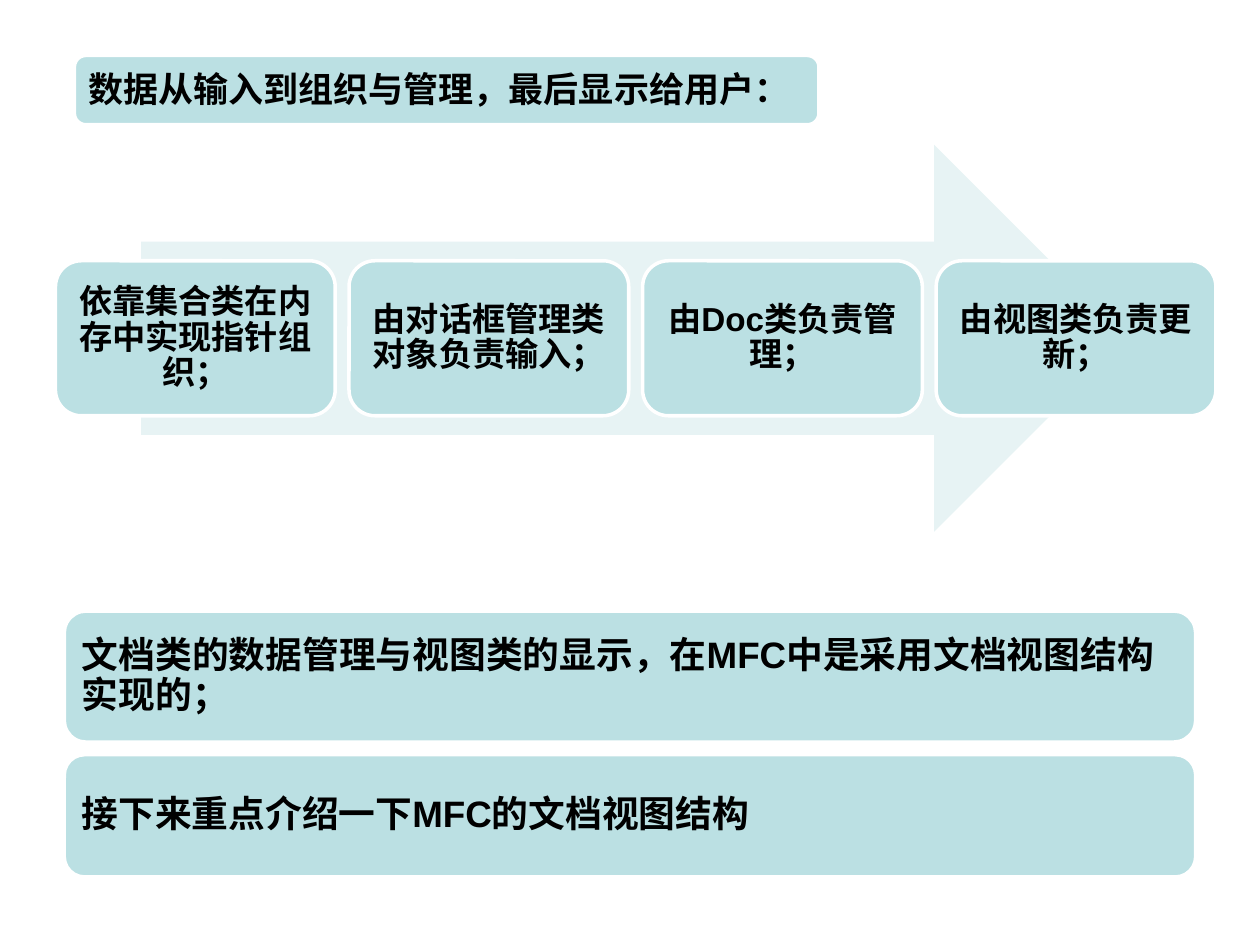
from pptx import Presentation
from pptx import util as u
from pptx.dml.color import RGBColor
from pptx.enum import shapes, text

TEAL = RGBColor(0xBB, 0xE0, 0xE3)
PALE_TEAL = RGBColor(0xE7, 0xF3, 0xF4)
WHITE = RGBColor(0xFF, 0xFF, 0xFF)
BLACK = RGBColor(0x00, 0x00, 0x00)


def write(box, words, size, align=text.PP_ALIGN.LEFT, inset=0.08):
    frame = box.text_frame
    frame.word_wrap = True
    frame.auto_size = text.MSO_AUTO_SIZE.NONE
    frame.vertical_anchor = text.MSO_ANCHOR.MIDDLE
    frame.margin_left = frame.margin_right = u.Inches(inset)
    frame.margin_top = frame.margin_bottom = u.Inches(inset)
    para = frame.paragraphs[0]
    para.alignment = align
    para.line_spacing = 0.9
    span = para.add_run()
    span.text = words
    span.font.name = "Arial"
    span.font.size = u.Pt(size)
    span.font.bold = True
    span.font.color.rgb = BLACK


def add_card(left, top, width, height):
    """Add a teal rounded card with a white outline; lengths in inches."""
    card = page.shapes.add_shape(
        shapes.MSO_SHAPE.ROUNDED_RECTANGLE,
        u.Inches(left), u.Inches(top), u.Inches(width), u.Inches(height))
    card.shadow.inherit = False
    card.fill.solid()
    card.fill.fore_color.rgb = TEAL
    card.line.color.rgb = WHITE
    card.line.width = u.Pt(2)
    return card


deck = Presentation()
deck.slide_width, deck.slide_height = u.Inches(10), u.Inches(7.5)
page = deck.slides.add_slide(deck.slide_layouts.get_by_name("Title Only"))

# Heading: the title sits on top of its card
add_card(0.59, 0.44, 5.91, 0.55)
title = page.shapes.title
title.left, title.top = u.Inches(0.62), u.Inches(0.47)
title.width, title.height = u.Inches(5.85), u.Inches(0.5)
write(title, "数据从输入到组织与管理，最后显示给用户：", 20)
page.shapes._spTree.append(title._element)

# Process arrow with four steps
arrow = page.shapes.add_shape(
    shapes.MSO_SHAPE.RIGHT_ARROW,
    u.Inches(1.12), u.Inches(1.15), u.Inches(7.83), u.Inches(3.07))
arrow.shadow.inherit = False
arrow.fill.solid()
arrow.fill.fore_color.rgb = PALE_TEAL
arrow.line.fill.background()

STEPS = [
    "依靠集合类在内存中实现指针组织；",
    "由对话框管理类对象负责输入；",
    "由Doc类负责管理；",
    "由视图类负责更新；",
]
STEP_PITCH = 2.33
for index, step in enumerate(STEPS):
    card = add_card(0.44 + index * STEP_PITCH, 2.07, 2.22, 1.23)
    write(card, step, 19, align=text.PP_ALIGN.CENTER)

# Closing remarks
REMARKS = [
    (4.85, 1.04, "文档类的数据管理与视图类的显示，在MFC中是采用文档视图结构实现的；"),
    (5.99, 0.97, "接下来重点介绍一下MFC的文档视图结构"),
]
for top, height, remark in REMARKS:
    write(add_card(0.51, top, 8.98, height), remark, 21, inset=0.09)

deck.save("out.pptx")
